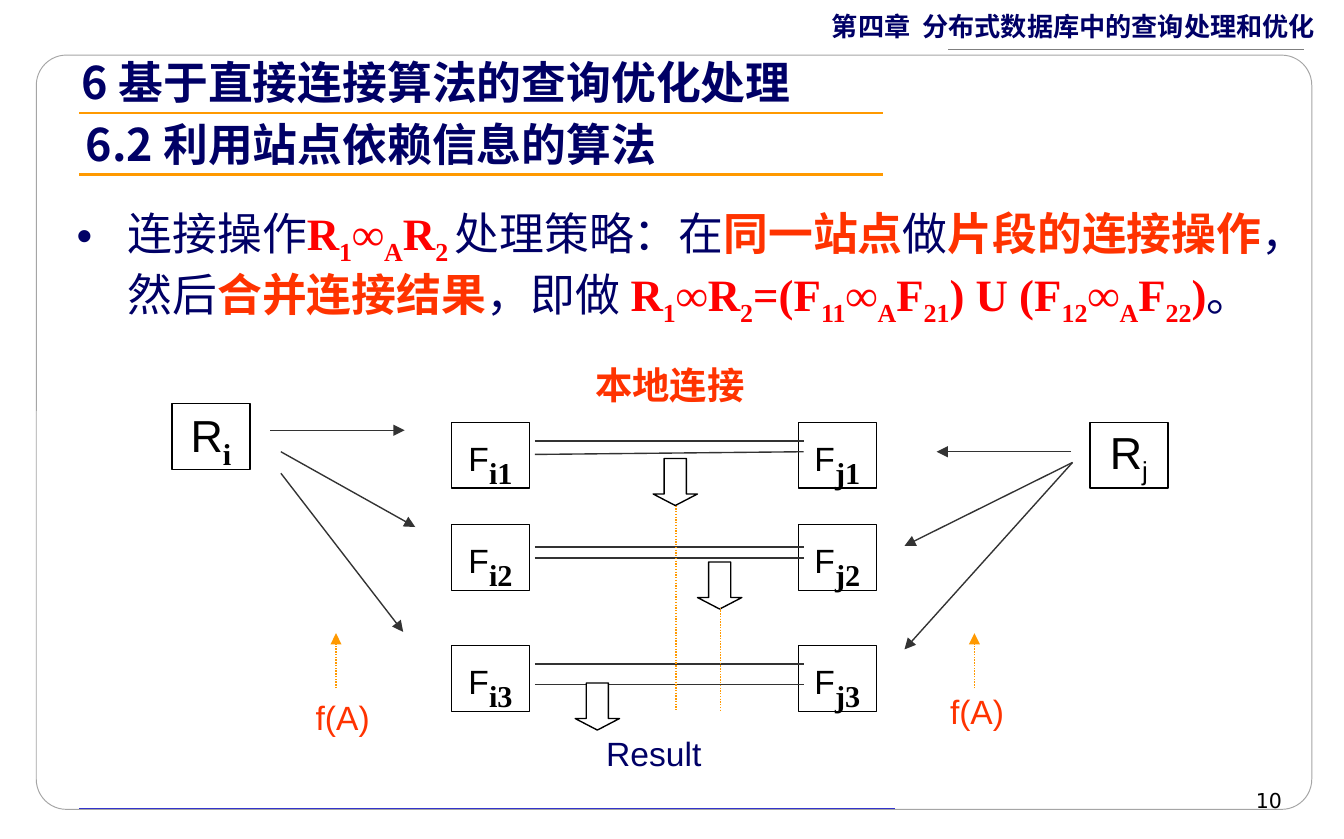
import pptx
import pptx.util
import pptx.dml.color
import pptx.enum.dml
import pptx.enum.shapes
import pptx.enum.text
import pptx.oxml
import pptx.oxml.ns
import lxml.etree

SCALE = 9144
NAVY, RED, ORANGE, AMBER = "000066", "FF0000", "FF3300", "FF9900"
BLACK, WHITE, DARK = "000000", "FFFFFF", "333333"
CJK, SERIF, SANS = "Noto Sans CJK SC", "Times New Roman", "Arial"
SHAPE = pptx.enum.shapes.MSO_SHAPE
ALIGN = pptx.enum.text.PP_ALIGN
ANCHOR = pptx.enum.text.MSO_ANCHOR


def px(n):
    return pptx.util.Emu(n * SCALE)


def rgb(value):
    return pptx.dml.color.RGBColor.from_string(value)


def sub(parent, tag, **attrs):
    el = lxml.etree.SubElement(parent, pptx.oxml.ns.qn(tag))
    for key, value in attrs.items():
        el.set(key, value)
    return el


def apply(obj, values):
    for key, value in values.items():
        setattr(obj, key, value)


def add_run(p, text, size, font, color, bold=False, lowered=False):
    r = p.add_run()
    r.text = text
    apply(r.font, {"size": pptx.util.Pt(size), "name": font, "bold": bold})
    r.font.color.rgb = rgb(color)
    rpr = r.font._element
    sub(rpr, "a:ea", typeface=CJK)
    if lowered:
        rpr.set("baseline", "-25000")


def add_formula(p, text, size, font, color, bold=False):
    for i, part in enumerate(text.split("_")):
        if part:
            add_run(p, part, size, font, color, bold, i % 2 == 1)


def set_frame(sp, align=ALIGN.LEFT, anchor=ANCHOR.TOP, wrap=True, inset=10):
    tf = sp.text_frame
    apply(tf, {"word_wrap": wrap, "vertical_anchor": anchor,
               "auto_size": pptx.enum.text.MSO_AUTO_SIZE.NONE,
               "margin_left": px(inset), "margin_right": px(inset),
               "margin_top": px(5), "margin_bottom": px(5)})
    p = tf.paragraphs[0]
    apply(p, {"alignment": align, "space_before": pptx.util.Pt(0)})
    return p


def place(sp, box):
    apply(sp, dict(zip(("left", "top", "width", "height"), map(px, box))))


def add_text(s, box, text, size, font, color, bold=False, **frame):
    sp = s.shapes.add_textbox(*map(px, box))
    add_run(set_frame(sp, **frame), text, size, font, color, bold)


def add_label(s, box, text, size, color, bold=False, wrap=False):
    add_text(s, box, text, size, SANS, color, bold,
             align=ALIGN.CENTER, anchor=ANCHOR.MIDDLE, wrap=wrap)


def add_line(s, x1, y1, x2, y2, color=DARK, width=0.75, arrow=False, dotted=False):
    cn = s.shapes.add_connector(pptx.enum.shapes.MSO_CONNECTOR.STRAIGHT,
                                px(x1), px(y1), px(x2), px(y2))
    cn.line.color.rgb = rgb(color)
    cn.line.width = pptx.util.Pt(width)
    if dotted:
        cn.line.dash_style = pptx.enum.dml.MSO_LINE.ROUND_DOT
    if arrow:
        sub(cn.line._get_or_add_ln(), "a:tailEnd", type="triangle")
    sub(cn._element.spPr, "a:effectLst")


def add_outlined(s, kind, box, line=BLACK, width=0.75):
    sp = s.shapes.add_shape(kind, *map(px, box))
    sp.shadow.inherit = False
    sp.fill.solid()
    sp.fill.fore_color.rgb = rgb(WHITE)
    sp.line.color.rgb = rgb(line)
    sp.line.width = pptx.util.Pt(width)
    return sp


def add_node(s, x, y, name, index, size, index_size=28, index_font=SERIF, bold=True):
    sp = add_outlined(s, SHAPE.RECTANGLE, (x, y, 58, 49))
    p = set_frame(sp, ALIGN.CENTER, ANCHOR.MIDDLE, False)
    add_run(p, name, size, SANS, BLACK)
    add_run(p, index, index_size, index_font, BLACK, bold, True)


def add_block_arrow(s, x, y):
    sp = add_outlined(s, SHAPE.DOWN_ARROW, (x, y, 33, 35))
    sp.adjustments[1] = 0.26


def add_page_frame(s):
    sp = add_outlined(s, SHAPE.ROUNDED_RECTANGLE, (27, 41, 949, 561), "A5A5A5", 0.5)
    sp.adjustments[0] = 0.04
    color = sp._element.spPr.find(".//" + pptx.oxml.ns.qn("a:srgbClr"))
    sub(color, "a:alpha", val="85000")
    s.shapes.element.insert(2, sp._element)
    add_line(s, 59, 601, 666, 601, "3333CC", 0.25)
    add_line(s, 970, 37, 705, 37, "7F7F7F")
    add_text(s, (610, 3, 386, 33), "第四章  分布式数据库中的查询处理和优化", 14, CJK, NAVY, True, inset=9)
    add_text(s, (713, 581, 250, 28), "10", 11, "DejaVu Sans", BLACK, align=ALIGN.RIGHT, inset=9)


def add_headings(s):
    title = s.shapes.title
    place(title, (51, 36, 669, 50))
    add_run(set_frame(title), "6 基于直接连接算法的查询优化处理", 24, CJK, NAVY, True)
    add_text(s, (54, 82, 500, 50), "6.2 利用站点依赖信息的算法", 24, CJK, NAVY, True)
    for y in (84, 130):
        add_line(s, 59, y, 657, y, AMBER, 1.5)


def add_strategy(s):
    body = s.placeholders[1]
    place(body, (48, 148, 915, 103))
    p = set_frame(body, inset=9)
    ppr = p._p.get_or_add_pPr()
    ppr.set("marL", str(px(38)))
    ppr.set("indent", str(px(-38)))
    sub(sub(ppr, "a:buClr"), "a:srgbClr", val=NAVY)
    sub(ppr, "a:buChar", char="•")
    for text, color in (
        ("连接操作", NAVY), ("R_1_∞_A_R_2 ", RED), ("处理策略：在", NAVY),
        ("同一站点", ORANGE), ("做", NAVY), ("片段的连接操作", ORANGE),
        ("，然后", NAVY), ("合并连接结果", ORANGE), ("，即做 ", NAVY),
        ("R_1_∞R_2_=(F_11_∞_A_F_21_) U (F_12_∞_A_F_22_)", RED), ("。", NAVY),
    ):
        add_formula(p, text, 24, SERIF, color, color != NAVY)


def add_diagram(s):
    rows = (314, 390, 480)
    add_node(s, 128, 300, "R", "i", 24)
    add_node(s, 811, 314, "R", "j", 24, 24, SANS, False)
    for x, side in ((594, "j"), (336, "i")):
        for n, y in enumerate(rows, 1):
            add_node(s, x, y, "F", f"{side}{n}", 18)
    for ends in ((201, 320, 301, 320), (209, 336, 309, 392), (209, 352, 300, 470),
                 (797, 336, 697, 336), (798, 344, 673, 406), (798, 344, 673, 483)):
        add_line(s, *ends, arrow=True)
    for y1, y2 in ((328, 328), (338, 336), (407, 407), (415, 415), (494, 494), (509, 509)):
        add_line(s, 398, y1, 598, y2)
    for x, y in ((486, 341), (519, 418), (428, 508)):
        add_block_arrow(s, x, y)
    for x, y in ((503, 376), (536, 452)):
        add_line(s, x, y, x, 528, AMBER, dotted=True)
    add_label(s, (413, 264, 171, 44), "本地连接", 20, ORANGE, True, True)
    add_label(s, (441, 540, 91, 40), "Result", 18, NAVY)
    for x, y, arrow_x in ((225, 513, 250), (697, 509, 725)):
        add_label(s, (x, y, 60, 40), "f(A)", 18, ORANGE)
        add_line(s, arrow_x, 512, arrow_x, 471, AMBER, arrow=True, dotted=True)


def main():
    prs = pptx.Presentation()
    prs.slide_width, prs.slide_height = px(1000), px(624)
    s = prs.slides.add_slide(prs.slide_layouts[1])
    add_page_frame(s)
    add_diagram(s)
    add_headings(s)
    add_strategy(s)
    prs.save("out.pptx")


if __name__ == "__main__":
    main()
